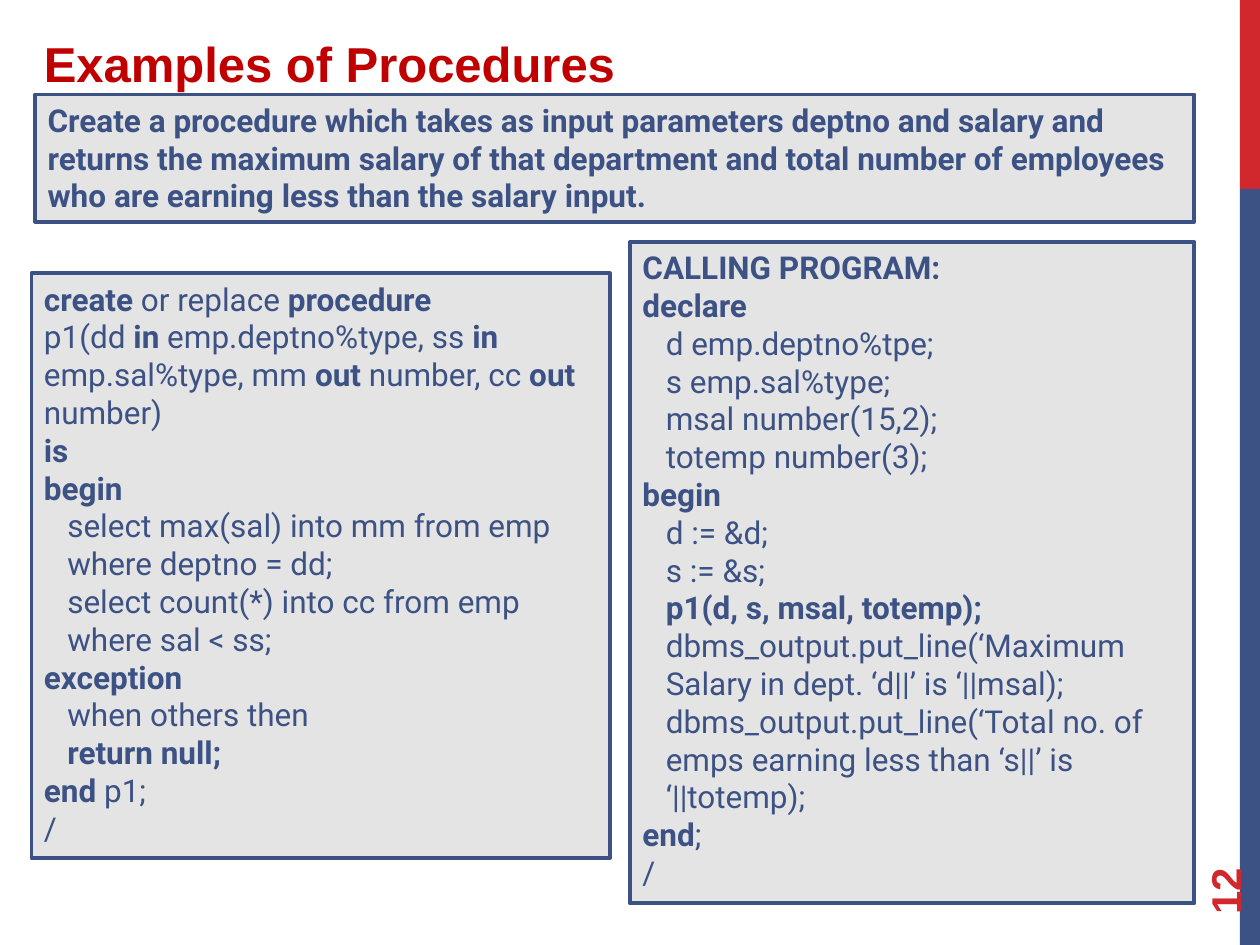
from pptx import Presentation
from pptx.dml.color import RGBColor
from pptx.enum.shapes import MSO_SHAPE
from pptx.enum.text import MSO_ANCHOR, PP_ALIGN
from pptx.util import Pt

RECTANGLE = MSO_SHAPE.RECTANGLE
LEFT = PP_ALIGN.LEFT
TOP, MIDDLE = MSO_ANCHOR.TOP, MSO_ANCHOR.MIDDLE

RED = RGBColor(0xD1, 0x28, 0x2E)
DARK_RED = RGBColor(0xC0, 0x00, 0x00)
BLUE = RGBColor(0x3C, 0x51, 0x84)
GREY = RGBColor(0xE4, 0xE4, 0xE4)

SLIDE_WIDTH, SLIDE_HEIGHT = 720, 540
BAR_WIDTH, RED_BAR_HEIGHT = 11.52, 108

# Words between pairs of ** are bold.
TITLE = ["**Examples of Procedures**"]
PAGE_NUMBER = ["**12**"]
TASK = [
    "**Create a procedure which takes as input parameters deptno and salary and "
    "returns the maximum salary of that department and total number of employees "
    "who are earning less than the salary input.**",
]
PROCEDURE = [
    "**create** or replace **procedure**",
    "p1(dd **in** emp.deptno%type, ss **in**",
    "emp.sal%type, mm **out** number, cc **out** number)",
    "**is**",
    "**begin**",
    "   select max(sal) into mm from emp",
    "   where deptno = dd;",
    "   select count(*) into cc from emp",
    "   where sal < ss;",
    "**exception**",
    "   when others then",
    "   **return null;**",
    "**end** p1;",
    "/",
]
CALLING_PROGRAM = [
    "**CALLING PROGRAM:**",
    "**declare**",
    "   d emp.deptno%tpe;",
    "   s emp.sal%type;",
    "   msal number(15,2);",
    "   totemp number(3);",
    "**begin**",
    "   d := &d;",
    "   s := &s;",
    "   **p1(d, s, msal, totemp);**",
    "   dbms_output.put_line(‘Maximum",
    "   Salary in dept. ‘d||’ is ‘||msal);",
    "   dbms_output.put_line(‘Total no. of",
    "   emps earning less than ‘s||’ is",
    "   ‘||totemp);",
    "**end**;",
    "/",
]
# Lines, then left, top, width, height
PANELS = [
    (PROCEDURE, (18, 156.24, 330.48, 334.08)),
    (CALLING_PROGRAM, (360, 138.24, 322.56, 378)),
    (TASK, (20.16, 54, 662.4, 72.72)),
]


def write_text(shape, lines, font="Roboto", size=18, color=BLUE, anchor=TOP, margin_top=3.6):
    frame = shape.text_frame
    frame.word_wrap = True
    frame.vertical_anchor = anchor
    frame.margin_top = Pt(margin_top)
    for index, line in enumerate(lines):
        paragraph = frame.paragraphs[0] if index == 0 else frame.add_paragraph()
        paragraph.alignment = LEFT
        for part, words in enumerate(line.split("**")):
            if words:
                run = paragraph.add_run()
                run.text = words
                run.font.name = font
                run.font.size = Pt(size)
                run.font.bold = part % 2 == 1
                run.font.color.rgb = color


def add_rectangle(slide, box, fill, line=None):
    shape = slide.shapes.add_shape(RECTANGLE, *map(Pt, box))
    shape.shadow.inherit = False
    shape.fill.solid()
    shape.fill.fore_color.rgb = fill
    if line is None:
        shape.line.fill.background()
    else:
        shape.line.color.rgb = line
        shape.line.width = Pt(2.25)
    return shape


def add_text_box(slide, box, lines, **text_format):
    shape = slide.shapes.add_textbox(*map(Pt, box))
    write_text(shape, lines, font="Arial", **text_format)
    return shape


def main():
    presentation = Presentation()
    presentation.slide_width = Pt(SLIDE_WIDTH)
    presentation.slide_height = Pt(SLIDE_HEIGHT)
    slide = presentation.slides.add_slide(presentation.slide_layouts[6])

    bar_left = SLIDE_WIDTH - BAR_WIDTH
    add_rectangle(slide, (bar_left, 0, BAR_WIDTH, RED_BAR_HEIGHT), RED)
    add_rectangle(
        slide, (bar_left, RED_BAR_HEIGHT, BAR_WIDTH, SLIDE_HEIGHT - RED_BAR_HEIGHT), BLUE
    )

    number = add_text_box(
        slide, (648, 463.68, 103.68, 28.8), PAGE_NUMBER, size=24, color=RED, anchor=MIDDLE
    )
    number.rotation = 270
    add_text_box(
        slide, (18, 12.24, 491.76, 48.24), TITLE, size=28, color=DARK_RED, margin_top=7.2
    )

    for lines, box in PANELS:
        write_text(add_rectangle(slide, box, GREY, line=BLUE), lines)

    presentation.save("out.pptx")


if __name__ == "__main__":
    main()
